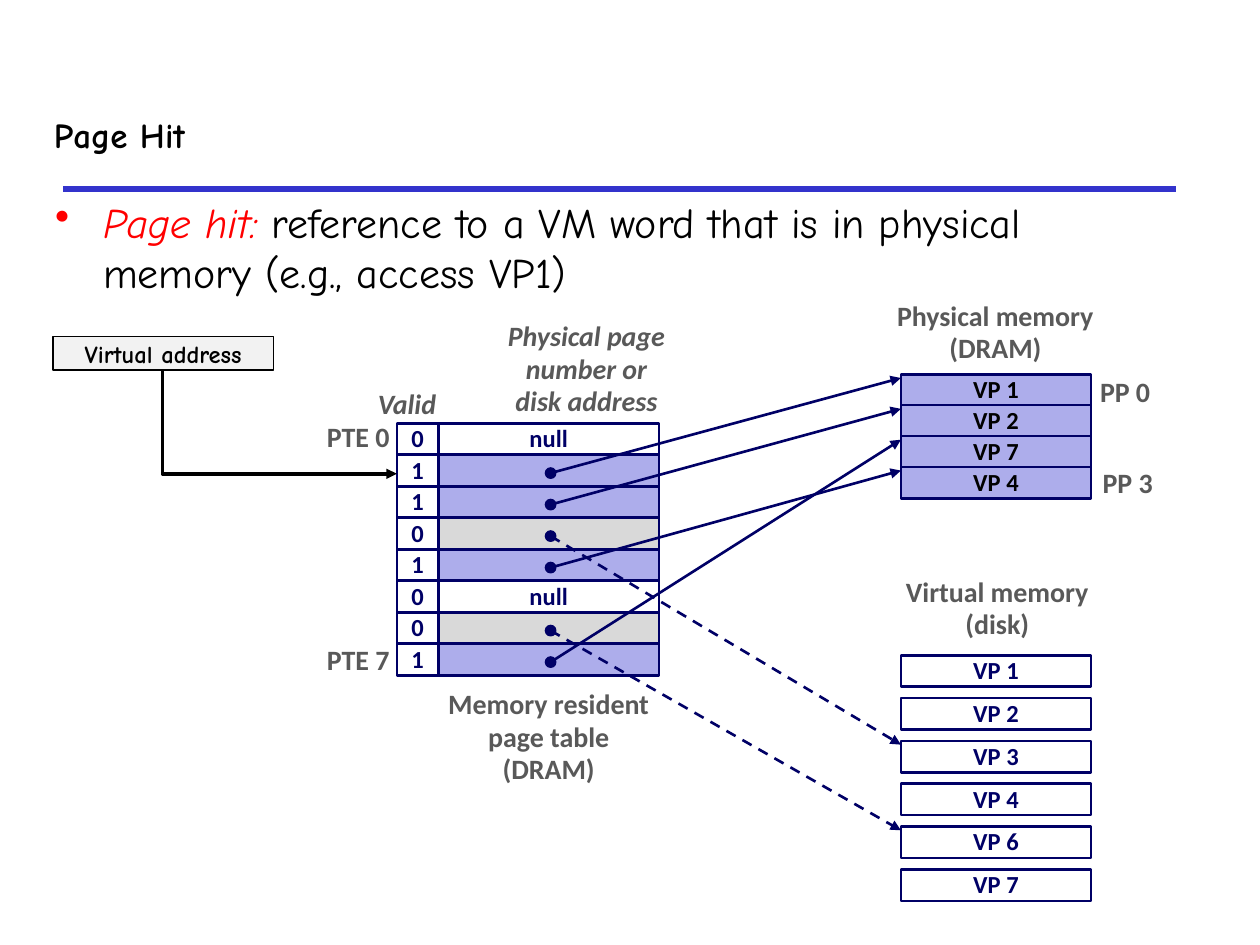
from lxml import etree
from pptx import Presentation, util as u
from pptx.dml.color import RGBColor
from pptx.enum import dml, shapes, text
from pptx.oxml.ns import qn

NAVY, GREY, BLACK = "000066", "595959", "000000"
LILAC, SILVER = "ADADEB", "D9D9D9"
SANS, COMIC = "Calibri", "Comic Neue"
L, C, R = text.PP_ALIGN.LEFT, text.PP_ALIGN.CENTER, text.PP_ALIGN.RIGHT
TOP, MIDDLE = text.MSO_ANCHOR.TOP, text.MSO_ANCHOR.MIDDLE

# Page table entries: valid bit, text, fill, page pointed to
ENTRIES = [
    ("0", "null", None, None),
    ("1", "", LILAC, "VP 1"),
    ("1", "", LILAC, "VP 2"),
    ("0", "", SILVER, "VP 3"),
    ("1", "", LILAC, "VP 4"),
    ("0", "null", None, None),
    ("0", "", SILVER, "VP 6"),
    ("1", "", LILAC, "VP 7"),
]
PHYSICAL = ["VP 1", "VP 2", "VP 7", "VP 4"]
VIRTUAL = ["VP 1", "VP 2", "VP 3", "VP 4", "VP 6", "VP 7"]
# Labels: text, box, alignment, anchor, italic
LABELS = [
    ("Memory resident\npage table\n(DRAM)", (3.43, 5.41, 1.85, 0.89), C, TOP, False),
    ("Physical memory\n(DRAM)", (7.01, 2.33, 1.78, 0.63), C, TOP, False),
    ("Virtual memory\n(disk)", (7.07, 4.52, 1.69, 0.63), C, TOP, False),
    ("Valid", (2.9, 3.03, 0.75, 0.37), L, TOP, True),
    ("Physical page\nnumber or\ndisk address", (3.92, 2.48, 1.47, 0.9), C, MIDDLE, True),
    ("PTE 0", (2.49, 3.29, 0.7, 0.37), R, MIDDLE, False),
    ("PTE 7", (2.49, 5.06, 0.7, 0.37), R, MIDDLE, False),
    ("PP 0", (8.63, 2.93, 0.6, 0.37), C, MIDDLE, False),
    ("PP 3", (8.65, 3.65, 0.6, 0.37), C, MIDDLE, False),
]

ROW = 0.25                                  # height of every cell
TABLE_TOP, VALID_X, VALID_W, ENTRY_W = 3.36, 3.15, 0.33, 1.75
ENTRY_X = VALID_X + VALID_W
PAGE_X, PAGE_W = 7.15, 1.51
PHYS_TOP, PHYS_STEP = 2.97, 0.245
VIRT_TOP, VIRT_STEP = 5.2, 0.34
DOT_X, DOT_D, DOT_DROP = 4.37, 0.08, 0.02
ARROW_DROP = 0.03                           # arrow tip below a page's top edge

prs = Presentation()
prs.slide_width, prs.slide_height = u.Inches(10), u.Inches(7.5)
slide = prs.slides.add_slide(prs.slide_layouts[6])


def rgb(color):
    return RGBColor.from_string(color)


def inches(values):
    return [u.Inches(v) for v in values]


def style(run, size, font, color, bold=True, italic=False):
    f = run.font
    f.size, f.name, f.bold, f.italic = u.Pt(size), font, bold, italic
    f.color.rgb = rgb(color)


def write(sp, words, size, font, color, align=C, anchor=MIDDLE, italic=False, spacing=0.98):
    tf = sp.text_frame
    tf.word_wrap, tf.vertical_anchor = False, anchor
    tf.text = words
    for p in tf.paragraphs:
        p.alignment, p.line_spacing = align, spacing
        for r in p.runs:
            style(r, size, font, color, italic=italic)


def shape(kind, box, fill=None, line=NAVY, width=1.5):
    sp = slide.shapes.add_shape(kind, *inches(box))
    sp.shadow.inherit = False
    if fill:
        sp.fill.solid()
        sp.fill.fore_color.rgb = rgb(fill)
    else:
        sp.fill.background()
    sp.line.color.rgb, sp.line.width = rgb(line), u.Pt(width)
    return sp


def cell(box, words="", fill=None, color=NAVY):
    sp = shape(shapes.MSO_SHAPE.RECTANGLE, box, fill)
    if words:
        write(sp, words, 14, SANS, color)


def connector(ends, color, width, dashed=False, arrow=True, kind=shapes.MSO_CONNECTOR.STRAIGHT):
    c = slide.shapes.add_connector(kind, *inches(ends))
    c.line.color.rgb, c.line.width = rgb(color), u.Pt(width)
    if dashed:
        c.line.dash_style = dml.MSO_LINE.DASH
    if arrow:
        etree.SubElement(c.line._get_or_add_ln(), qn("a:tailEnd"), type="triangle")
    etree.SubElement(c._element.spPr, qn("a:effectLst"))
    return c


def heading():
    connector((0.5, 1.5, 9.33, 1.5), "3333CC", 3, arrow=False)
    title = slide.shapes.add_textbox(*inches((0.33, 0.64, 9.06, 0.86)))
    write(title, "Page Hit", 20, COMIC, BLACK, L, spacing=1.0)

    tf = slide.shapes.add_textbox(*inches((0.34, 1.51, 9, 0.9))).text_frame
    tf.word_wrap = True
    p = tf.paragraphs[0]
    p.space_before = u.Pt(4.8)
    pPr = p._p.get_or_add_pPr()
    pPr.set("marL", str(u.Inches(0.38)))
    pPr.set("indent", str(u.Inches(-0.38)))
    etree.SubElement(pPr, qn("a:buChar"), char="•")
    for words, color, italic in [
        ("Page hit: ", "FF0000", True),
        ("reference to a VM word that is in physical memory (e.g., access VP1)", BLACK, False),
    ]:
        r = p.add_run()
        r.text = words
        style(r, 24, COMIC, color, False, italic)


def memories():
    for i, page in enumerate(PHYSICAL):
        cell((PAGE_X, PHYS_TOP + i * PHYS_STEP, PAGE_W, ROW), page, LILAC, BLACK)
    for i, page in enumerate(VIRTUAL):
        cell((PAGE_X, VIRT_TOP + i * VIRT_STEP, PAGE_W, ROW), page)


def page_table():
    for i, (valid, words, fill, _) in enumerate(ENTRIES):
        y = TABLE_TOP + i * ROW
        cell((ENTRY_X, y, ENTRY_W, ROW), words, fill)
        cell((VALID_X, y, VALID_W, ROW), valid)
    for i, (valid, _, _, page) in enumerate(ENTRIES):
        if not page:
            continue
        y = TABLE_TOP + (i + 0.5) * ROW + DOT_DROP
        cached = valid == "1"
        if cached:
            end = PHYS_TOP + PHYSICAL.index(page) * PHYS_STEP
        else:
            end = VIRT_TOP + VIRTUAL.index(page) * VIRT_STEP
        connector((DOT_X, y, PAGE_X, end + ARROW_DROP), NAVY, 1.5, not cached)
        shape(shapes.MSO_SHAPE.OVAL, (DOT_X - DOT_D / 2, y - DOT_D / 2, DOT_D, DOT_D), NAVY, width=1)


def virtual_address():
    box = shape(shapes.MSO_SHAPE.RECTANGLE, (0.42, 2.67, 1.75, 0.27), "F2F2F2", BLACK, 1)
    write(box, "Virtual address", 14, COMIC, BLACK, spacing=1.0)
    x1, y1, x2, y2 = 1.29, 2.94, VALID_X, 3.76
    c = connector((x1, y1, x2, y2), BLACK, 2, kind=shapes.MSO_CONNECTOR.ELBOW)
    c.begin_connect(box, 2)
    # One bend, down then right: a quarter turn of the flipped preset
    w, h = y2 - y1, x2 - x1
    c.left, c.top, c.width, c.height = inches(((x1 + x2 - w) / 2, (y1 + y2 - h) / 2, w, h))
    spPr = c._element.spPr
    spPr.find(qn("a:prstGeom")).set("prst", "bentConnector2")
    spPr.xfrm.set("rot", "5400000")
    spPr.xfrm.set("flipV", "1")


heading()
memories()
page_table()
for words, box, align, anchor, italic in LABELS:
    label = slide.shapes.add_textbox(*inches(box))
    write(label, words, 16, SANS, GREY, align, anchor, italic)
virtual_address()
prs.save("out.pptx")
